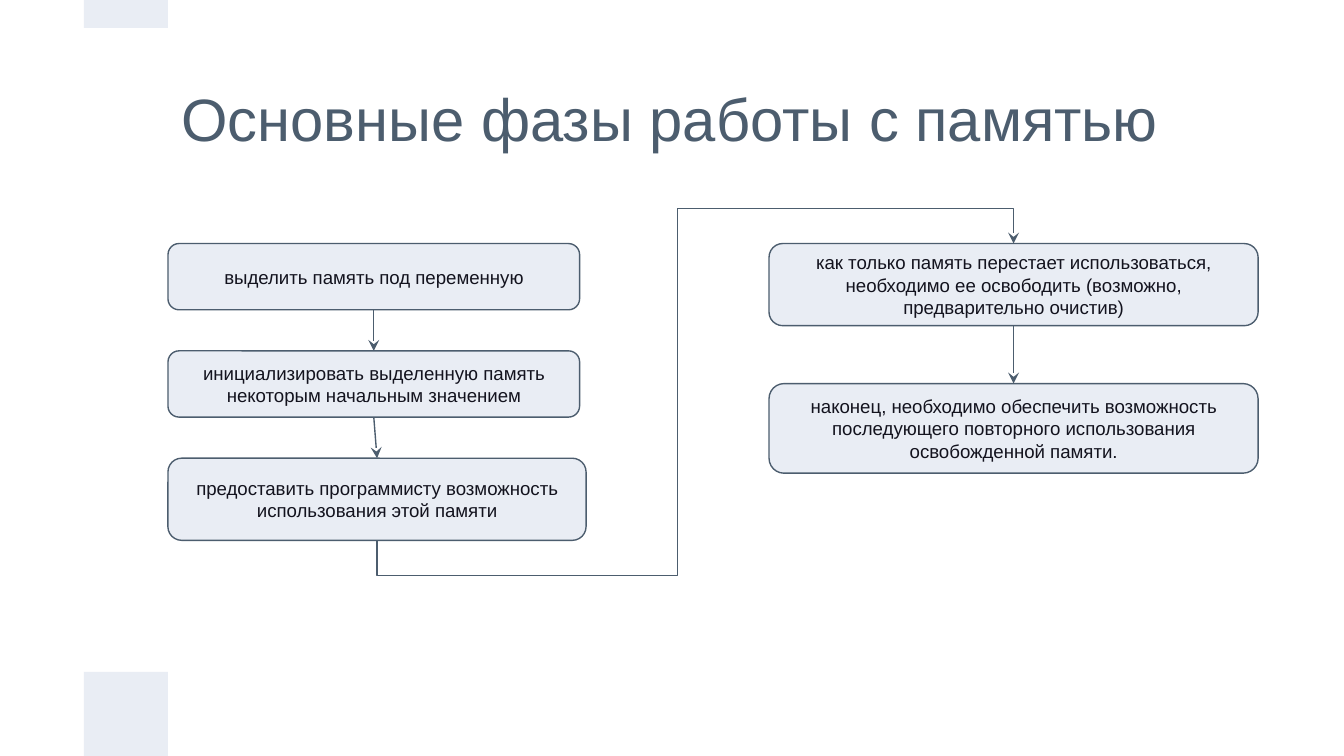
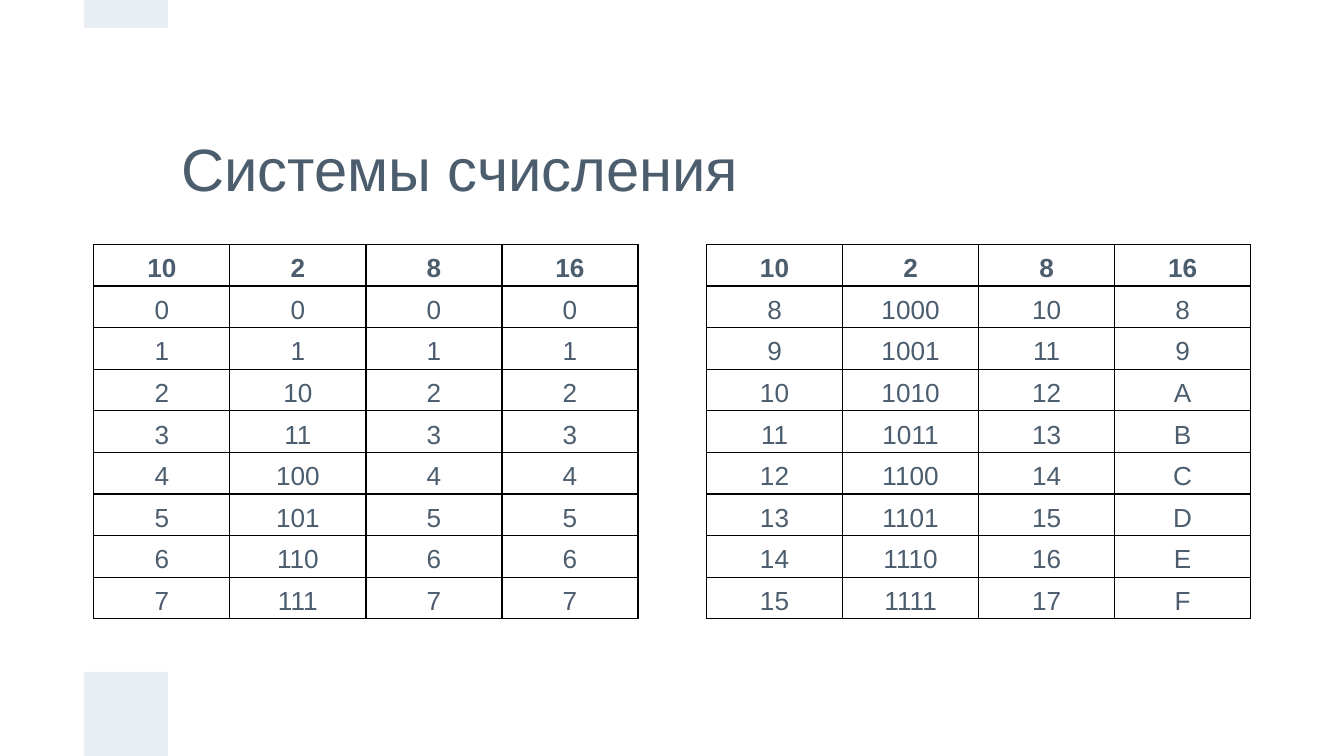
from dataclasses import dataclass

from lxml import etree
from pptx import Presentation
from pptx import util as u
from pptx.dml.color import RGBColor
from pptx.enum import shapes, text
from pptx.oxml import ns


@dataclass(frozen=True)
class Theme:
    font: str = "Arial"
    pale: str = "E9EDF4"
    slate: str = "4C5D6E"
    ink: str = "13131E"
    grid: str = "000000"
    title_size: float = 32
    box_size: float = 10
    cell_size: float = 14
    line_width: float = 0.75


THEME = Theme()
SLIDE_WIDTH, SLIDE_HEIGHT = 720, 405
BANDS = ((0, 15), (360, 45))  # top, height

# Flow boxes: left, top, width, height, wording
LEFT_PHASES = (
    (90, 130.5, 220.5, 35.5, "выделить память под переменную"),
    (90, 188, 220.5, 35.5,
     "инициализировать выделенную память некоторым начальным значением"),
    (90, 245.5, 224, 44,
     "предоставить программисту возможность использования этой памяти"),
)
RIGHT_PHASES = (
    (412, 130.5, 262, 44,
     "как только память перестает использоваться, необходимо ее освободить "
     "(возможно, предварительно очистив)"),
    (412, 205.5, 262, 48,
     "наконец, необходимо обеспечить возможность последующего повторного "
     "использования освобожденной памяти."),
)

NUMBER_BASES = {"10": "d", "2": "b", "8": "o", "16": "X"}  # heading: format
TABLE_TOP, COLUMN_WIDTH, ROW_HEIGHT = 131, 72.9, 20.16


def points(*values):
    return [u.Pt(value) for value in values]


def color(value):
    return RGBColor.from_string(value)


def add_child(parent, tag, **attributes):
    return etree.SubElement(parent, ns.qn(tag), attributes)


def style_paragraph(paragraph, size, shade, alignment, bold=False):
    font = paragraph.font
    font.name, font.size, font.bold = THEME.font, u.Pt(size), bold
    font.color.rgb = color(shade)
    paragraph.alignment = alignment


# Shared slide parts
def add_bands(slide):
    for top, height in BANDS:
        band = slide.shapes.add_shape(
            shapes.MSO_SHAPE.RECTANGLE, *points(45, top, 45, height))
        band.shadow.inherit = False
        band.fill.solid()
        band.fill.fore_color.rgb = color(THEME.pale)
        band.line.fill.background()


def add_title(slide, wording, top, height):
    frame = slide.shapes.add_textbox(*points(90, top, 540, height)).text_frame
    frame.word_wrap = True
    frame.vertical_anchor = text.MSO_ANCHOR.MIDDLE
    frame.margin_left = frame.margin_right = u.Pt(7.2)
    frame.margin_top = frame.margin_bottom = u.Pt(7.2)
    frame.text = wording
    style_paragraph(frame.paragraphs[0], THEME.title_size, THEME.slate,
                    text.PP_ALIGN.LEFT)


def add_slide(presentation, title, title_top, title_height):
    slide = presentation.slides.add_slide(presentation.slide_layouts[6])
    add_bands(slide)
    add_title(slide, title, title_top, title_height)
    return slide


# Flow chart
def add_phase(slide, left, top, width, height, wording):
    box = slide.shapes.add_shape(shapes.MSO_SHAPE.ROUNDED_RECTANGLE,
                                 *points(left, top, width, height))
    box.shadow.inherit = False
    box.fill.solid()
    box.fill.fore_color.rgb = color(THEME.pale)
    box.line.color.rgb = color(THEME.slate)
    box.line.width = u.Pt(THEME.line_width)
    frame = box.text_frame
    frame.word_wrap = True
    frame.vertical_anchor = text.MSO_ANCHOR.MIDDLE
    frame.text = wording
    style_paragraph(frame.paragraphs[0], THEME.box_size, THEME.ink,
                    text.PP_ALIGN.CENTER)
    return box


def style_arrow(connector):
    connector.line.color.rgb = color(THEME.slate)
    connector.line.width = u.Pt(THEME.line_width)
    add_child(connector.line._get_or_add_ln(), "a:tailEnd", type="stealth")
    add_child(connector._element.spPr, "a:effectLst")


def add_down_arrow(slide, upper, lower):
    arrow = slide.shapes.add_connector(
        shapes.MSO_CONNECTOR.STRAIGHT, 0, 0, 0, 0)
    arrow.begin_connect(upper, 2)
    arrow.end_connect(lower, 0)
    style_arrow(arrow)


def add_return_arrow(slide, source, target, margin=18.8, lane=0.472):
    """Run from below the source, up a lane between columns, to the target's top."""
    start_x, start_y = source.left + source.width // 2, source.top + source.height
    end_x, end_y = target.left + target.width // 2, target.top
    run, rise = end_x - start_x, start_y - end_y
    # The frame is a quarter turn of the area between the two ends.
    left = (start_x + end_x - rise) // 2
    top = (start_y + end_y - run) // 2
    arrow = slide.shapes.add_connector(
        shapes.MSO_CONNECTOR.ELBOW, left, top, left + rise, top + run)
    properties = arrow._element.spPr
    properties.find(ns.qn("a:xfrm")).set("rot", str(270 * 60000))
    geometry = properties.find(ns.qn("a:prstGeom"))
    geometry.set("prst", "bentConnector5")
    guides = geometry.find(ns.qn("a:avLst"))
    if guides is None:
        guides = add_child(geometry, "a:avLst")
    overshoot = u.Pt(margin) / rise
    for number, share in enumerate((-overshoot, lane, 1 + overshoot), 1):
        add_child(guides, "a:gd", name=f"adj{number}",
                  fmla=f"val {round(share * 100000)}")
    style_arrow(arrow)


def add_column(slide, phases):
    boxes = [add_phase(slide, *phase) for phase in phases]
    for upper, lower in zip(boxes, boxes[1:]):
        add_down_arrow(slide, upper, lower)
    return boxes


# Number tables
def style_cell(cell, wording, bold):
    cell.text = wording
    cell.vertical_anchor = text.MSO_ANCHOR.BOTTOM
    cell.margin_left = cell.margin_right = u.Pt(2.25)
    cell.margin_top = cell.margin_bottom = u.Pt(1.5)
    paragraph = cell.text_frame.paragraphs[0]
    style_paragraph(paragraph, THEME.cell_size, THEME.slate,
                    text.PP_ALIGN.CENTER, bold)
    paragraph.line_spacing = 1.15
    properties = cell._tc.get_or_add_tcPr()
    for side in ("a:lnL", "a:lnR", "a:lnT", "a:lnB"):
        border = add_child(properties, side, w=str(u.Pt(THEME.line_width)))
        add_child(add_child(border, "a:solidFill"), "a:srgbClr", val=THEME.grid)
    cell.fill.background()


def add_number_table(slide, left, numbers):
    rows = [list(NUMBER_BASES)]
    rows += [[format(number, base) for base in NUMBER_BASES.values()]
             for number in numbers]
    table = slide.shapes.add_table(
        len(rows), len(NUMBER_BASES),
        *points(left, TABLE_TOP, COLUMN_WIDTH * len(NUMBER_BASES),
                ROW_HEIGHT * len(rows))).table
    table.first_row = table.horz_banding = False
    for column in table.columns:
        column.width = u.Pt(COLUMN_WIDTH)
    for row_index, row in enumerate(rows):
        table.rows[row_index].height = u.Pt(ROW_HEIGHT)
        for column_index, wording in enumerate(row):
            style_cell(table.cell(row_index, column_index), wording,
                       bold=row_index == 0)


def main():
    presentation = Presentation()
    presentation.slide_width, presentation.slide_height = points(
        SLIDE_WIDTH, SLIDE_HEIGHT)

    # Memory phases
    slide = add_slide(presentation, "Основные фазы работы с памятью", 24.5, 76.5)
    left_boxes = add_column(slide, LEFT_PHASES)
    right_boxes = add_column(slide, RIGHT_PHASES)
    add_return_arrow(slide, left_boxes[-1], right_boxes[0])

    # Number systems
    slide = add_slide(presentation, "Системы счисления", 45, 90)
    add_number_table(slide, 50.25, range(8))
    add_number_table(slide, 378.5, range(8, 16))

    presentation.save("out.pptx")


if __name__ == "__main__":
    main()
